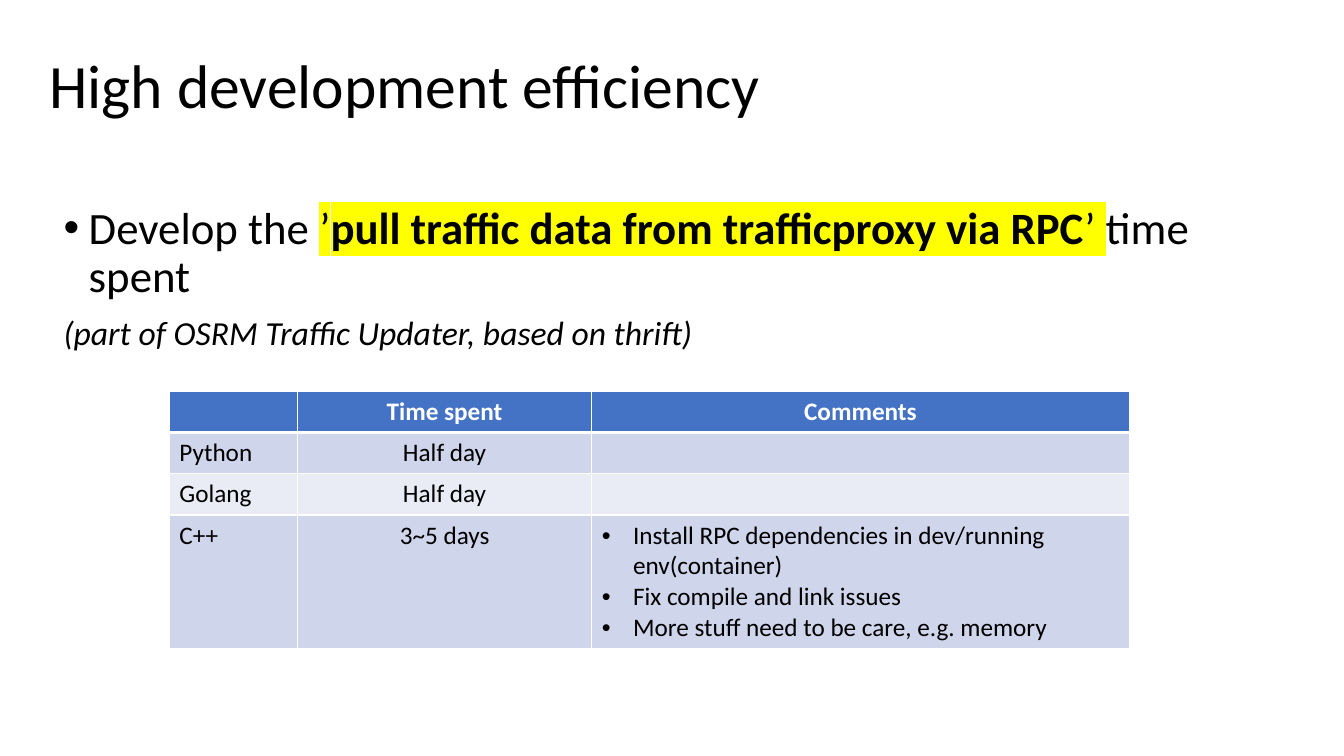
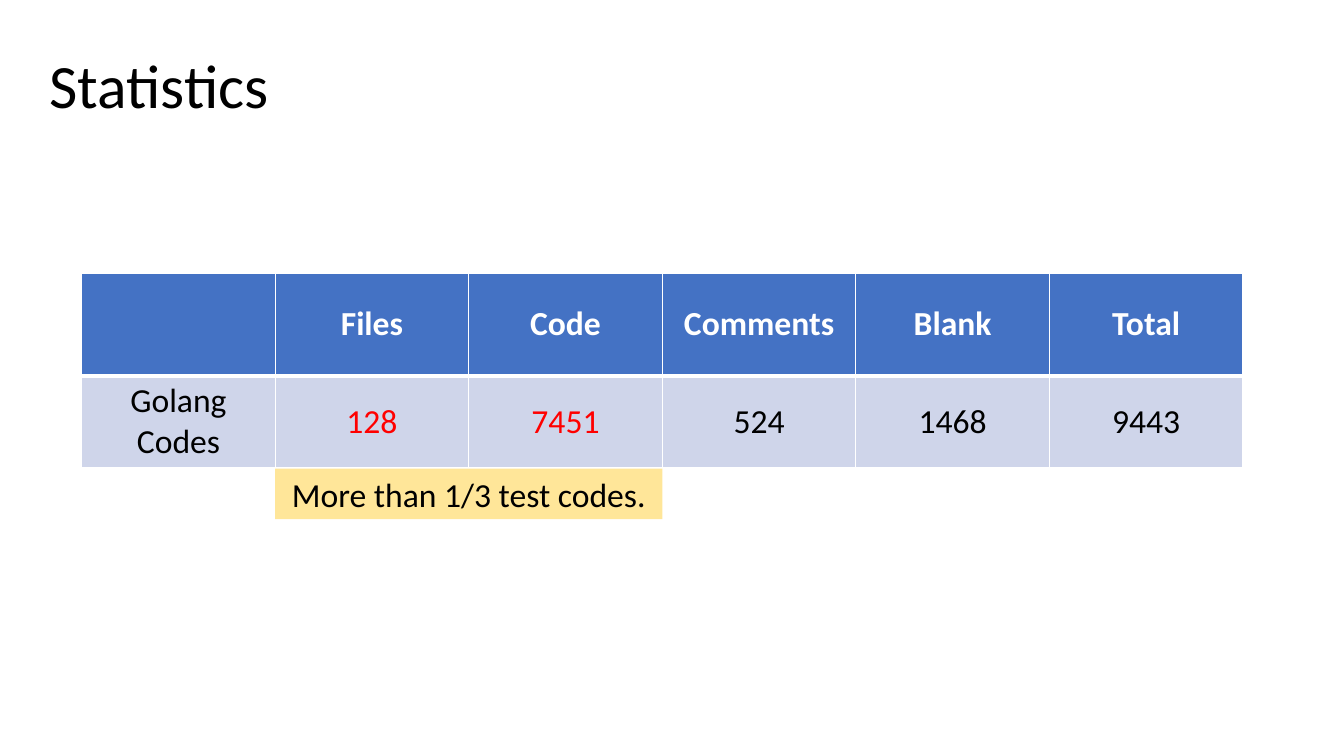
"""Build two slides on development effort and code statistics."""
from lxml.etree import SubElement
from pptx import Presentation
from pptx.dml.color import RGBColor
from pptx.enum.shapes import MSO_SHAPE
from pptx.enum.text import MSO_ANCHOR as ANCHOR, MSO_AUTO_SIZE, PP_ALIGN as ALIGN
from pptx.oxml.ns import qn
from pptx.util import Emu, Pt

PX = 9144
FONT = "Calibri"
COLORS = {
    "text": "000000", "inverse": "FFFFFF", "alert": "FF0000",
    "header": "4472C4", "band_dark": "CFD5EA", "band_light": "E9EBF5",
    "note": "FFE699", "marker": "FFFF00", "grid": "FFFFFF",
}
TITLE_BOX = (39, 39, 1233, 97)
BODY_BOX = (53, 199, 1206, 478)

TASK_RUNS = [
    ("Develop the ", False, False),
    ("’", False, True),
    ("pull traffic data from trafficproxy via RPC", True, True),
    ("’ ", False, True),
    ("time spent", False, False),
]
TASK_DETAIL = "(part of OSRM Traffic Updater, based on thrift)"

EFFORT = {
    "rows": [
        ("", "Time spent", "Comments"),
        ("Python", "Half day", ""),
        ("Golang", "Half day", ""),
        ("C++", "3~5 days", (
            "Install RPC dependencies in dev/running env(container)",
            "Fix compile and link issues",
            "More stuff need to be care, e.g. memory",
        )),
    ],
    "origin": (168, 388),
    "widths": [127, 292, 533],
    "heights": [41, 41, 41, 131],
    "aligns": [ALIGN.LEFT, ALIGN.CENTER, ALIGN.LEFT],
    "size": 18, "anchor": ANCHOR.TOP, "alerts": (),
}
STATISTICS = {
    "rows": [
        ("", "Files", "Code", "Comments", "Blank", "Total"),
        ("Golang Codes", "128", "7451", "524", "1468", "9443"),
    ],
    "origin": (81, 271),
    "widths": [192] * 6,
    "heights": [102, 91],
    "aligns": [ALIGN.CENTER] * 6,
    "size": 24, "anchor": ANCHOR.MIDDLE, "alerts": ("128", "7451"),
}
TEST_NOTE = "More than 1/3 test codes."
NOTE_COLUMNS = (1, 2)
NOTE_HEIGHT = 50


def px(*lengths):
    return [Emu(length * PX) for length in lengths]


def color(name):
    return RGBColor.from_string(COLORS[name])


def place(shape, box):
    shape.left, shape.top, shape.width, shape.height = px(*box)


def set_font(paragraph, size, name="text", bold=False, italic=False):
    font = paragraph.font
    font.name, font.size, font.bold, font.italic = FONT, Pt(size), bold, italic
    font.color.rgb = color(name)


def set_bullet(paragraph, indent):
    properties = paragraph._p.get_or_add_pPr()
    properties.set("marL", str(indent * PX))
    properties.set("indent", str(-indent * PX))
    if indent:
        SubElement(properties, qn("a:buFont"), typeface="Arial")
        SubElement(properties, qn("a:buChar"), char="•")
    else:
        SubElement(properties, qn("a:buNone"))


def highlight(run):
    marker = SubElement(run._r.get_or_add_rPr(), qn("a:highlight"))
    SubElement(marker, qn("a:srgbClr"), val=COLORS["marker"])


def set_borders(cell, bottom):
    properties = cell._tc.get_or_add_tcPr()
    for side, width in (("L", 1), ("R", 1), ("T", 1), ("B", bottom)):
        line = SubElement(properties, qn(f"a:ln{side}"), w=str(Pt(width)))
        fill = SubElement(line, qn("a:solidFill"))
        SubElement(fill, qn("a:srgbClr"), val=COLORS["grid"])


def add_slide(deck, layout, heading):
    slide = deck.slides.add_slide(deck.slide_layouts[layout])
    title = slide.shapes.title
    place(title, TITLE_BOX)
    frame = title.text_frame
    frame.text = heading
    frame.auto_size = MSO_AUTO_SIZE.NONE
    frame.vertical_anchor = ANCHOR.MIDDLE
    paragraph = frame.paragraphs[0]
    paragraph.alignment, paragraph.line_spacing = ALIGN.LEFT, 0.9
    set_font(paragraph, 44)
    return slide


def fill_cell(cell, content, row, column, data):
    header = row == 0
    set_borders(cell, 3 if header else 1)
    cell.fill.solid()
    band = "band_dark" if row % 2 else "band_light"
    cell.fill.fore_color.rgb = color("header" if header else band)
    cell.vertical_anchor = data["anchor"]
    bulleted = isinstance(content, tuple)
    cell.text = "\n".join(content) if bulleted else content
    ink = "inverse" if header else "alert" if content in data["alerts"] else "text"
    for paragraph in cell.text_frame.paragraphs:
        if bulleted:
            set_bullet(paragraph, 31)
        paragraph.alignment = ALIGN.CENTER if header else data["aligns"][column]
        set_font(paragraph, data["size"], ink, bold=header)


def add_grid(slide, data):
    rows, widths, heights = data["rows"], data["widths"], data["heights"]
    box = px(*data["origin"], sum(widths), sum(heights))
    table = slide.shapes.add_table(len(rows), len(widths), *box).table
    for column, width in zip(table.columns, px(*widths)):
        column.width = width
    for line, height in zip(table.rows, px(*heights)):
        line.height = height
    for row, contents in enumerate(rows):
        for column, content in enumerate(contents):
            fill_cell(table.cell(row, column), content, row, column, data)


def add_task(slide):
    body = slide.placeholders[1]
    place(body, BODY_BOX)
    frame = body.text_frame
    frame.auto_size = MSO_AUTO_SIZE.NONE
    task, detail = frame.paragraphs[0], frame.add_paragraph()
    for text, bold, marked in TASK_RUNS:
        run = task.add_run()
        run.text = text
        run.font.bold = bold
        if marked:
            highlight(run)
    detail.text = TASK_DETAIL
    for paragraph, indent, size, before in ((task, 25, 32, 0), (detail, 0, 24, 10)):
        set_bullet(paragraph, indent)
        paragraph.line_spacing, paragraph.space_before = 0.9, Pt(before)
        set_font(paragraph, size, italic=paragraph is detail)


def add_test_note(slide, data):
    left, top = data["origin"]
    first, last = NOTE_COLUMNS
    widths = data["widths"]
    box = px(left + sum(widths[:first]), top + sum(data["heights"]) + 1,
             sum(widths[first:last + 1]), NOTE_HEIGHT)
    note = slide.shapes.add_shape(MSO_SHAPE.RECTANGLE, *box)
    note.shadow.inherit = False
    note.fill.solid()
    note.fill.fore_color.rgb = color("note")
    note.line.fill.background()
    frame = note.text_frame
    frame.text, frame.word_wrap = TEST_NOTE, True
    frame.paragraphs[0].alignment = ALIGN.CENTER
    set_font(frame.paragraphs[0], 24)


def main():
    deck = Presentation()
    deck.slide_width, deck.slide_height = px(1333, 750)

    efficiency = add_slide(deck, 1, "High development efficiency")
    add_task(efficiency)
    add_grid(efficiency, EFFORT)

    statistics = add_slide(deck, 5, "Statistics")
    add_grid(statistics, STATISTICS)
    add_test_note(statistics, STATISTICS)

    deck.save("out.pptx")


if __name__ == "__main__":
    main()
